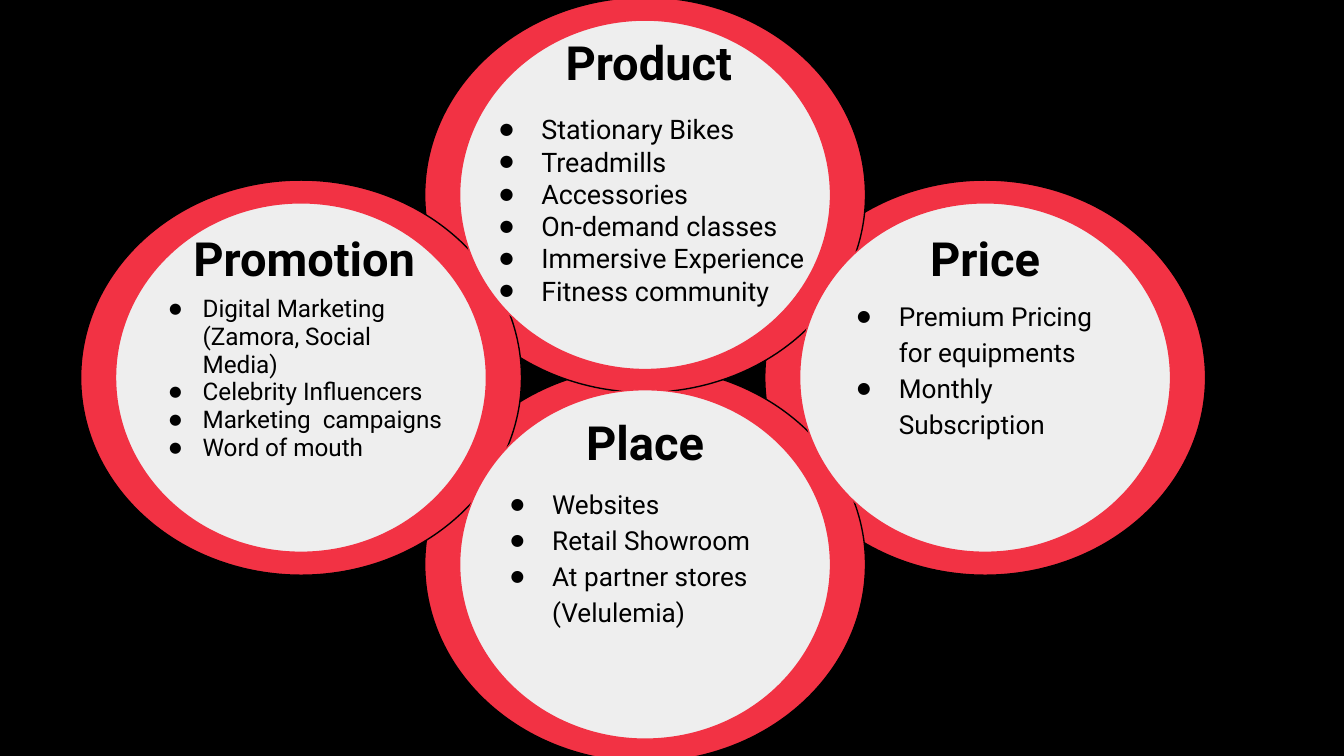
from dataclasses import dataclass

import pptx
import pptx.dml.color
import pptx.enum.shapes
import pptx.enum.text
import pptx.oxml.ns
import pptx.util
from lxml import etree

Inches = pptx.util.Inches
Pt = pptx.util.Pt
RGBColor = pptx.dml.color.RGBColor
Align = pptx.enum.text.PP_ALIGN


@dataclass(frozen=True)
class Theme:
    font: str = "Roboto"
    backdrop: RGBColor = RGBColor(0x00, 0x00, 0x00)
    ink: RGBColor = RGBColor(0x00, 0x00, 0x00)
    ring: RGBColor = RGBColor(0xF2, 0x32, 0x44)
    disc: RGBColor = RGBColor(0xEE, 0xEE, 0xEE)
    outline: float = 0.75
    heading_size: float = 25.2
    bullet_percent: int = 60


@dataclass(frozen=True)
class Box:
    left: float
    top: float
    width: float
    height: float


@dataclass(frozen=True)
class BulletStyle:
    size: float
    spacing: float
    margin: float = 0.31
    hanging: float = -0.35


@dataclass(frozen=True)
class MarketingP:
    heading: str
    center: tuple[float, float]
    heading_box: Box
    heading_align: Align
    points_box: Box
    style: BulletStyle
    points: tuple[str, ...]


THEME = Theme()
SLIDE_WIDTH = 10
SLIDE_HEIGHT = SLIDE_WIDTH * 9 / 16
RING_SIZE = (3.28, 2.94)
DISC_SIZE = (2.76, 2.6)
HEADING_HEIGHT = 0.63
POINTS_HEIGHT = 1.58
MIDDLE_X, MIDDLE_Y = 4.8, 2.81
ROOMY = BulletStyle(size=14, spacing=1.15)

# The four Ps, from back to front
MARKETING_MIX = (
    MarketingP(
        "Price", (7.33, MIDDLE_Y),
        Box(6.58, 1.61, 1.5, HEADING_HEIGHT), Align.CENTER,
        Box(6.28, 2.1, 2.16, POINTS_HEIGHT), ROOMY,
        ("Premium Pricing for equipments", "Monthly Subscription"),
    ),
    MarketingP(
        "Place", (MIDDLE_X, 4.2),
        Box(4.05, 2.98, 1.5, HEADING_HEIGHT), Align.CENTER,
        Box(3.7, 3.5, 2.69, POINTS_HEIGHT), ROOMY,
        ("Websites", "Retail Showroom", "At partner stores (Velulemia)"),
    ),
    MarketingP(
        "Product", (MIDDLE_X, 1.45),
        Box(4.11, 0.15, 1.5, HEADING_HEIGHT), Align.LEFT,
        Box(3.62, 0.74, 2.57, POINTS_HEIGHT), BulletStyle(size=14.4, spacing=1.0),
        ("Stationary Bikes", "Treadmills", "Accessories", "On-demand classes",
         "Immersive Experience", "Fitness community"),
    ),
    MarketingP(
        "Promotion", (2.24, MIDDLE_Y),
        Box(1.34, 1.61, 1.96, HEADING_HEIGHT), Align.LEFT,
        Box(1.16, 2.1, 2.26, POINTS_HEIGHT),
        BulletStyle(size=13, spacing=0.95, margin=0.25, hanging=-0.34),
        ("Digital Marketing (Zamora, Social Media)", "Celebrity Influencers",
         "Marketing  campaigns", "Word of mouth"),
    ),
)


def add_ellipse(slide, center: tuple[float, float], size: tuple[float, float],
                fill: RGBColor, line: RGBColor) -> None:
    (x, y), (width, height) = center, size
    ellipse = slide.shapes.add_shape(
        pptx.enum.shapes.MSO_SHAPE.OVAL,
        Inches(x - width / 2), Inches(y - height / 2), Inches(width), Inches(height))
    ellipse.shadow.inherit = False
    ellipse.fill.solid()
    ellipse.fill.fore_color.rgb = fill
    ellipse.line.color.rgb = line
    ellipse.line.width = Pt(THEME.outline)


def add_text_frame(slide, box: Box):
    frame = slide.shapes.add_textbox(
        Inches(box.left), Inches(box.top), Inches(box.width), Inches(box.height)).text_frame
    frame.word_wrap = True
    frame.margin_left = frame.margin_right = Inches(0.1)
    frame.margin_top = frame.margin_bottom = Inches(0.1)
    return frame


def add_run(paragraph, text: str, size: float, bold: bool = False) -> None:
    run = paragraph.add_run()
    run.text = text
    run.font.name = THEME.font
    run.font.size = Pt(size)
    run.font.bold = bold
    run.font.color.rgb = THEME.ink


def set_bullet(paragraph, style: BulletStyle) -> None:
    qn = pptx.oxml.ns.qn
    properties = paragraph._p.get_or_add_pPr()
    properties.set("marL", str(Inches(style.margin)))
    properties.set("indent", str(Inches(style.hanging)))
    color = etree.SubElement(properties, qn("a:buClr"))
    etree.SubElement(color, qn("a:srgbClr"), val=str(THEME.ink))
    etree.SubElement(properties, qn("a:buSzPct"), val=str(THEME.bullet_percent * 1000))
    etree.SubElement(properties, qn("a:buFont"), typeface=THEME.font)
    etree.SubElement(properties, qn("a:buChar"), char="●")


def add_heading(slide, part: MarketingP) -> None:
    paragraph = add_text_frame(slide, part.heading_box).paragraphs[0]
    paragraph.alignment = part.heading_align
    add_run(paragraph, part.heading, THEME.heading_size, bold=True)


def add_points(slide, part: MarketingP) -> None:
    frame = add_text_frame(slide, part.points_box)
    for index, point in enumerate(part.points):
        paragraph = frame.add_paragraph() if index else frame.paragraphs[0]
        paragraph.line_spacing = part.style.spacing
        set_bullet(paragraph, part.style)
        add_run(paragraph, point, part.style.size)


def main() -> None:
    deck = pptx.Presentation()
    deck.slide_width, deck.slide_height = Inches(SLIDE_WIDTH), Inches(SLIDE_HEIGHT)
    slide = deck.slides.add_slide(deck.slide_layouts[6])
    slide.background.fill.solid()
    slide.background.fill.fore_color.rgb = THEME.backdrop

    # Overlapping rings, then the discs inside them
    for part in MARKETING_MIX:
        add_ellipse(slide, part.center, RING_SIZE, THEME.ring, THEME.ink)
    for part in MARKETING_MIX:
        add_ellipse(slide, part.center, DISC_SIZE, THEME.disc, THEME.ring)

    # Bullet points and headings
    for part in MARKETING_MIX:
        add_points(slide, part)
        add_heading(slide, part)

    deck.save("out.pptx")


if __name__ == "__main__":
    main()
